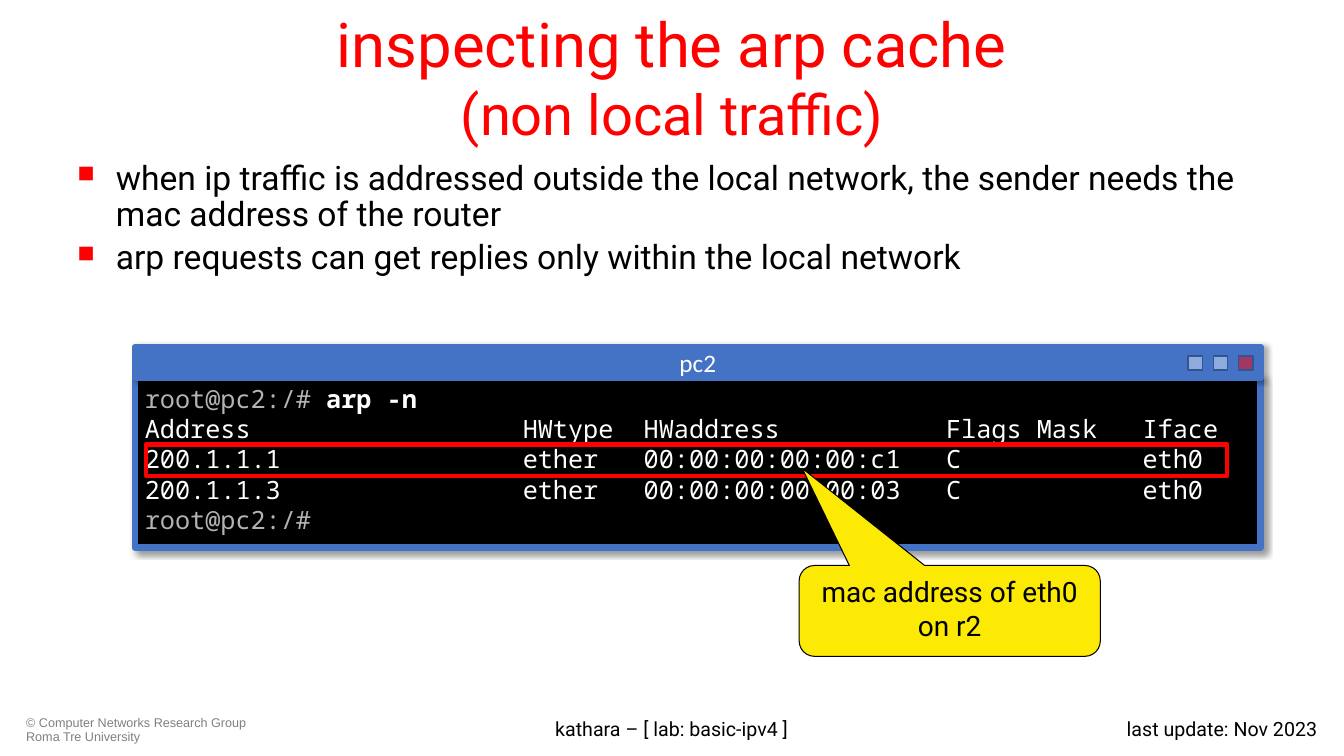
from dataclasses import dataclass
from typing import Optional

from lxml.etree import SubElement as Sub
from pptx import Presentation as Deck
from pptx.dml.color import RGBColor as Color
from pptx.enum.shapes import MSO_SHAPE as Kind
from pptx.enum.text import MSO_ANCHOR as Anchor, PP_ALIGN as Align
from pptx.oxml.ns import qn
from pptx.shapes.autoshape import Shape
from pptx.util import Cm, Pt

RED = Color(0xFF, 0x00, 0x00)
BLACK = Color(0x00, 0x00, 0x00)
WHITE = Color(0xFF, 0xFF, 0xFF)
GRAY = Color(0x80, 0x80, 0x80)
SILVER = Color(0xB3, 0xB3, 0xB3)
BLUE = Color(0x44, 0x72, 0xC4)
NAVY = Color(0x32, 0x54, 0x91)
SKY = Color(0x8F, 0xAA, 0xDC)
YELLOW = Color(0xFC, 0xEA, 0x04)


@dataclass(frozen=True)
class Box:
    left: float
    top: float
    width: float
    height: float

    def cm(self) -> tuple[Cm, Cm, Cm, Cm]:
        return Cm(self.left), Cm(self.top), Cm(self.width), Cm(self.height)


@dataclass(frozen=True)
class Style:
    size: float
    color: Color = BLACK
    face: str = "Roboto"
    align: Align = Align.LEFT
    anchor: Anchor = Anchor.TOP
    space: Optional[float] = None


@dataclass(frozen=True)
class Look:
    fill: Optional[Color]
    line: Color
    weight: float
    kind: Kind = Kind.RECTANGLE


@dataclass(frozen=True)
class Note:
    box: Box
    text: str
    style: Style


def write(shape: Shape, text: str, style: Style) -> None:
    frame = shape.text_frame
    frame.word_wrap = True
    frame.vertical_anchor = style.anchor
    frame.text = text
    for para in frame.paragraphs:
        para.alignment = style.align
        if style.space:
            para.line_spacing = style.space
        for run in para.runs:
            run.font.name = style.face
            run.font.size = Pt(style.size)
            run.font.color.rgb = style.color


def label(shapes, note: Note) -> Shape:
    shape = shapes.add_textbox(*note.box.cm())
    write(shape, note.text, note.style)
    return shape


def draw(shapes, box: Box, look: Look) -> Shape:
    shape = shapes.add_shape(look.kind, *box.cm())
    shape.shadow.inherit = False
    if look.fill is None:
        shape.fill.background()
    else:
        shape.fill.solid()
        shape.fill.fore_color.rgb = look.fill
    shape.line.color.rgb = look.line
    shape.line.width = Pt(look.weight)
    return shape


def shade(shape: Shape, alpha: int, blur: float, dist: float, angle: int) -> None:
    effect = shape._element.spPr.find(qn("a:effectLst"))
    cast = Sub(effect, qn("a:outerShdw"), blurRad=str(Pt(blur)),
               dist=str(Pt(dist)), dir=str(angle * 60000), algn="tl", rotWithShape="0")
    tint = Sub(cast, qn("a:srgbClr"), val=str(BLACK))
    Sub(tint, qn("a:alpha"), val=str(alpha * 1000))


def bullet(para, first: bool) -> None:
    props = para._p.get_or_add_pPr()
    props.set("marL", str(Cm(0.97)))
    props.set("indent", str(-Cm(0.97)))
    Sub(Sub(props, qn("a:buClr")), qn("a:srgbClr"), val=str(RED))
    Sub(props, qn("a:buSzPct"), val="70000")
    Sub(props, qn("a:buChar"), char="■")
    para.space_before = Pt(0 if first else 4.8)


TITLE = Note(Box(1.7, 0.33, 30.48, 3.18),
             "inspecting the arp cache\v(non local traffic)",
             Style(44, RED, align=Align.CENTER, anchor=Anchor.MIDDLE))
BODY = Note(Box(1.7, 3.94, 30.48, 13.08),
            "when ip traffic is addressed outside the local network, "
            "the sender needs the mac address of the router\n"
            "arp requests can get replies only within the local network",
            Style(24, space=0.9))
FOOT = [
    Note(Box(0.41, 17.93, 6.32, 0.91),
         "© Computer Networks Research Group Roma Tre University",
         Style(9, GRAY, "Arial", space=0.9)),
    Note(Box(25.73, 17.93, 7.72, 0.91), "last update: Nov 2023",
         Style(14, align=Align.RIGHT)),
    Note(Box(8.66, 17.93, 16.54, 0.91), "kathara – [ lab: basic-ipv4 ]",
         Style(14, align=Align.CENTER)),
]
PROMPT = "root@pc2:/#"
ROWS = [
    ("Address", "HWtype", "HWaddress", "Flags Mask", "Iface"),
    ("200.1.1.1", "ether", "00:00:00:00:00:c1", "C", "eth0"),
    ("200.1.1.3", "ether", "00:00:00:00:00:03", "C", "eth0"),
]
WIDTHS = (25, 8, 20, 13, 0)


def window(shapes) -> None:
    group = shapes.add_group_shape().shapes
    screen = draw(group, Box(3.4, 9.53, 28.37, 4.27), Look(BLACK, BLUE, 4.5))
    shade(screen, 40, 4, 3, 45)
    table = ["".join(cell.ljust(width) for cell, width in zip(row, WIDTHS))
             for row in ROWS]
    write(screen, "\n".join([PROMPT + " ", *table, PROMPT]),
          Style(18, WHITE, "Noto Sans Mono"))
    lines = screen.text_frame.paragraphs
    for line in (lines[0], lines[-1]):
        line.runs[0].font.color.rgb = SILVER
    order = lines[0].add_run()
    order.text = "arp -n"
    order.font.name = "Noto Sans Mono"
    order.font.size = Pt(18)
    order.font.bold = True
    order.font.color.rgb = WHITE

    bar = draw(group, Box(3.4, 8.74, 28.37, 0.79), Look(BLUE, BLUE, 4.5))
    shade(bar, 32, 4, 2, 0)
    write(bar, "pc2", Style(18, WHITE, "Calibri", Align.CENTER, Anchor.MIDDLE))

    for index, color in enumerate((SKY, SKY, RED)):
        button = draw(group, Box(29.94 + 0.64 * index, 8.97, 0.36, 0.36),
                      Look(color, NAVY, 1))
    tint = button._element.spPr.find(qn("a:solidFill"))[0]
    Sub(tint, qn("a:alpha"), val="50000")


def main() -> None:
    deck = Deck()
    deck.slide_width, deck.slide_height = Cm(33.87), Cm(19.05)
    shapes = deck.slides.add_slide(deck.slide_layouts[6]).shapes

    title = label(shapes, TITLE)
    title.text_frame.paragraphs[0].runs[1].font.size = Pt(40)
    body = label(shapes, BODY)
    for index, para in enumerate(body.text_frame.paragraphs):
        bullet(para, index == 0)
    for note in FOOT:
        label(shapes, note)

    window(shapes)
    draw(shapes, Box(3.68, 11.2, 27.25, 0.79), Look(None, RED, 3))
    callout = draw(shapes, Box(20.14, 14.25, 7.59, 2.29),
                   Look(YELLOW, BLACK, 0.75, Kind.ROUNDED_RECTANGULAR_CALLOUT))
    for index, value in enumerate((-0.49, -1.57, 0.17)):
        callout.adjustments[index] = value
    write(callout, "mac address of eth0 on r2", Style(20, align=Align.CENTER))
    deck.save("out.pptx")


if __name__ == "__main__":
    main()
